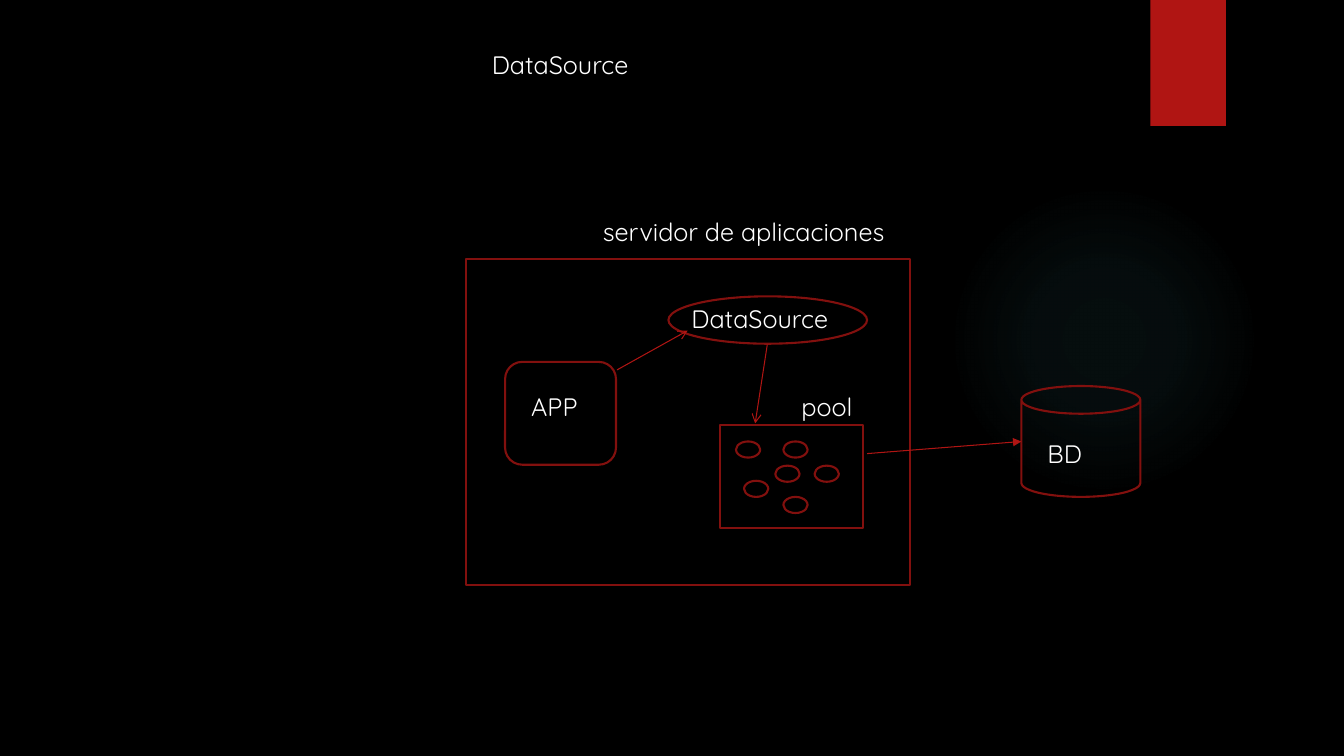
from typing import NamedTuple

from lxml import etree
from pptx import Presentation
from pptx.dml.color import RGBColor
from pptx.enum.shapes import MSO_CONNECTOR as Link, MSO_SHAPE as Preset
from pptx.enum.text import MSO_AUTO_SIZE as AutoSize
from pptx.oxml import parse_xml
from pptx.oxml.ns import nsdecls, qn
from pptx.shapes.autoshape import Shape
from pptx.slide import Slide
from pptx.util import Inches, Pt


class Theme(NamedTuple):
    background: str = "000000"
    accent: str = "B01513"
    outline: str = "82100E"
    glow: str = "50B9C1"
    text: str = "FFFFFF"
    font: str = "Quicksand"
    text_size: float = 18
    outline_width: float = 1.5
    arrow_width: float = 0.75


class Node(NamedTuple):
    preset: Preset
    left: float
    top: float
    width: float
    height: float


class Label(NamedTuple):
    text: str
    left: float
    top: float
    width: float


class Arrow(NamedTuple):
    start: tuple[float, float]
    end: tuple[float, float]
    head: str = "arrow"


THEME = Theme()
LABEL_HEIGHT = 0.4

GLOW = Node(Preset.OVAL, 9.41, 1.83, 3.08, 3.08)
GLOW_STOPS = ((0, 7), (36, 6), (69, 0))  # position and opacity, in percent
CORNER_TAB = Node(Preset.RECTANGLE, 11.41, 0, 0.75, 1.25)

CONNECTION_SIZE = (0.24, 0.16)
POOL_CONNECTIONS = ((7.3, 4.38), (7.77, 4.38), (7.38, 4.77),
                    (7.69, 4.62), (7.77, 4.93), (8.08, 4.62))
NODES = (
    Node(Preset.RECTANGLE, 4.62, 2.57, 4.41, 3.23),
    Node(Preset.ROUNDED_RECTANGLE, 5.01, 3.59, 1.1, 1.02),
    Node(Preset.CAN, 10.13, 3.83, 1.18, 1.1),
    Node(Preset.OVAL, 6.63, 2.94, 1.97, 0.47),
    Node(Preset.RECTANGLE, 7.14, 4.22, 1.42, 1.02),
    *(Node(Preset.OVAL, *place, *CONNECTION_SIZE) for place in POOL_CONNECTIONS),
)
LABELS = (
    Label("DataSource", 4.78, 0.44, 2.13),
    Label("APP", 5.17, 3.83, 0.71),
    Label("servidor de aplicaciones", 5.88, 2.1, 3.15),
    Label("BD", 10.29, 4.3, 0.94),
    Label("DataSource", 6.76, 2.96, 2.03),
    Label("pool", 7.85, 3.83, 0.87),
)
ARROWS = (
    Arrow((6.12, 3.67), (6.82, 3.28)),
    Arrow((7.61, 3.42), (7.49, 4.2)),
    Arrow((8.6, 4.5), (10.13, 4.38), "triangle"),
)


def color(value: str) -> RGBColor:
    return RGBColor.from_string(value)


def add_node(page: Slide, node: Node, fill: str | None = None,
             outline: str | None = None) -> Shape:
    shape = page.shapes.add_shape(node.preset, *map(Inches, node[1:]))
    shape.shadow.inherit = False
    if fill:
        shape.fill.solid()
        shape.fill.fore_color.rgb = color(fill)
    else:
        shape.fill.background()
    if outline:
        shape.line.color.rgb = color(outline)
        shape.line.width = Pt(THEME.outline_width)
    else:
        shape.line.fill.background()
    return shape


def add_glow(page: Slide) -> None:
    """Draw a circle whose transparent fill fades out from its centre."""
    properties = add_node(page, GLOW)._element.spPr
    stops = "".join(
        f'<a:gs pos="{position * 1000}"><a:srgbClr val="{THEME.glow}">'
        f'<a:alpha val="{opacity * 1000}"/></a:srgbClr></a:gs>'
        for position, opacity in GLOW_STOPS)
    gradient = parse_xml(
        f'<a:gradFill {nsdecls("a")}><a:gsLst>{stops}</a:gsLst>'
        '<a:path path="circle"><a:fillToRect l="50000" t="50000" r="50000" b="50000"/>'
        '</a:path></a:gradFill>')
    properties.replace(properties.find(qn("a:noFill")), gradient)


def add_text(page: Slide, label: Label, *, size: float = THEME.text_size,
             font: str = THEME.font, fill: str = THEME.text) -> None:
    box = page.shapes.add_textbox(
        *map(Inches, (label.left, label.top, label.width, LABEL_HEIGHT)))
    frame = box.text_frame
    frame.word_wrap = True
    frame.auto_size = AutoSize.SHAPE_TO_FIT_TEXT
    span = frame.paragraphs[0].add_run()
    span.text = label.text
    span.font.name = font
    span.font.size = Pt(size)
    span.font.color.rgb = color(fill)


def add_arrow(page: Slide, arrow: Arrow) -> None:
    connector = page.shapes.add_connector(
        Link.STRAIGHT, *map(Inches, (*arrow.start, *arrow.end)))
    connector.line.color.rgb = color(THEME.accent)
    connector.line.width = Pt(THEME.arrow_width)
    etree.SubElement(connector.line._get_or_add_ln(), qn("a:tailEnd"), type=arrow.head)
    etree.SubElement(connector._element.spPr, qn("a:effectLst"))


def main() -> None:
    deck = Presentation()
    deck.slide_width, deck.slide_height = Inches(13.33), Inches(7.5)
    page = deck.slides.add_slide(deck.slide_layouts[6])
    page.background.fill.solid()
    page.background.fill.fore_color.rgb = color(THEME.background)

    add_glow(page)
    add_node(page, CORNER_TAB, fill=THEME.accent)
    for node in NODES:
        add_node(page, node, outline=THEME.outline)
    for label in LABELS:
        add_text(page, label)
    for arrow in ARROWS:
        add_arrow(page, arrow)
    deck.save("out.pptx")


if __name__ == "__main__":
    main()
